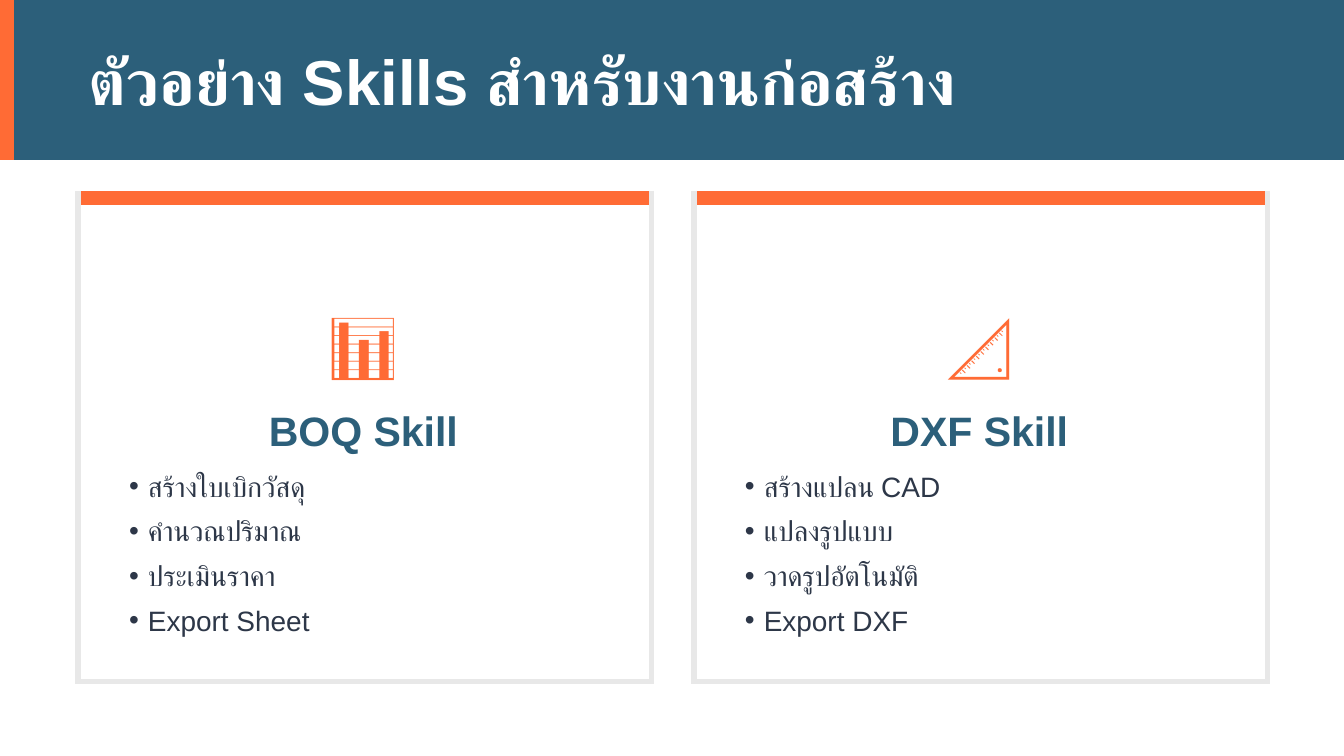
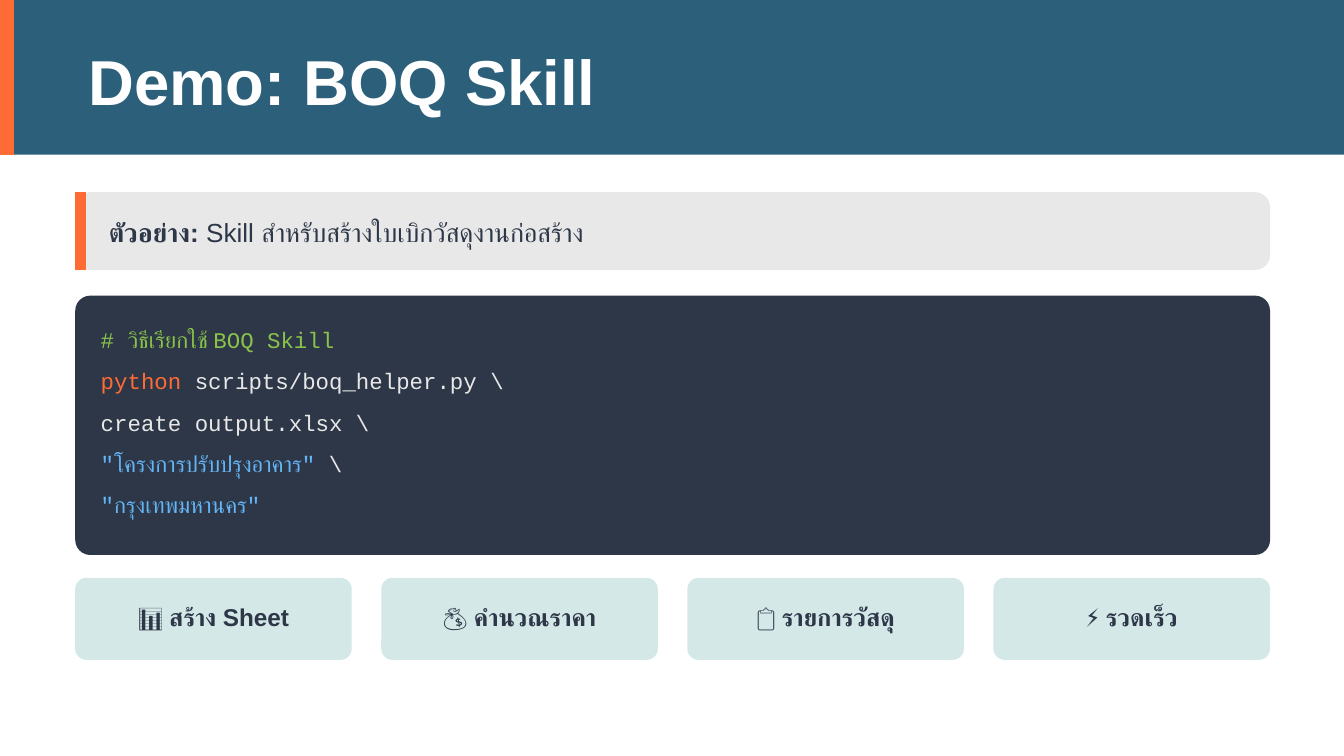
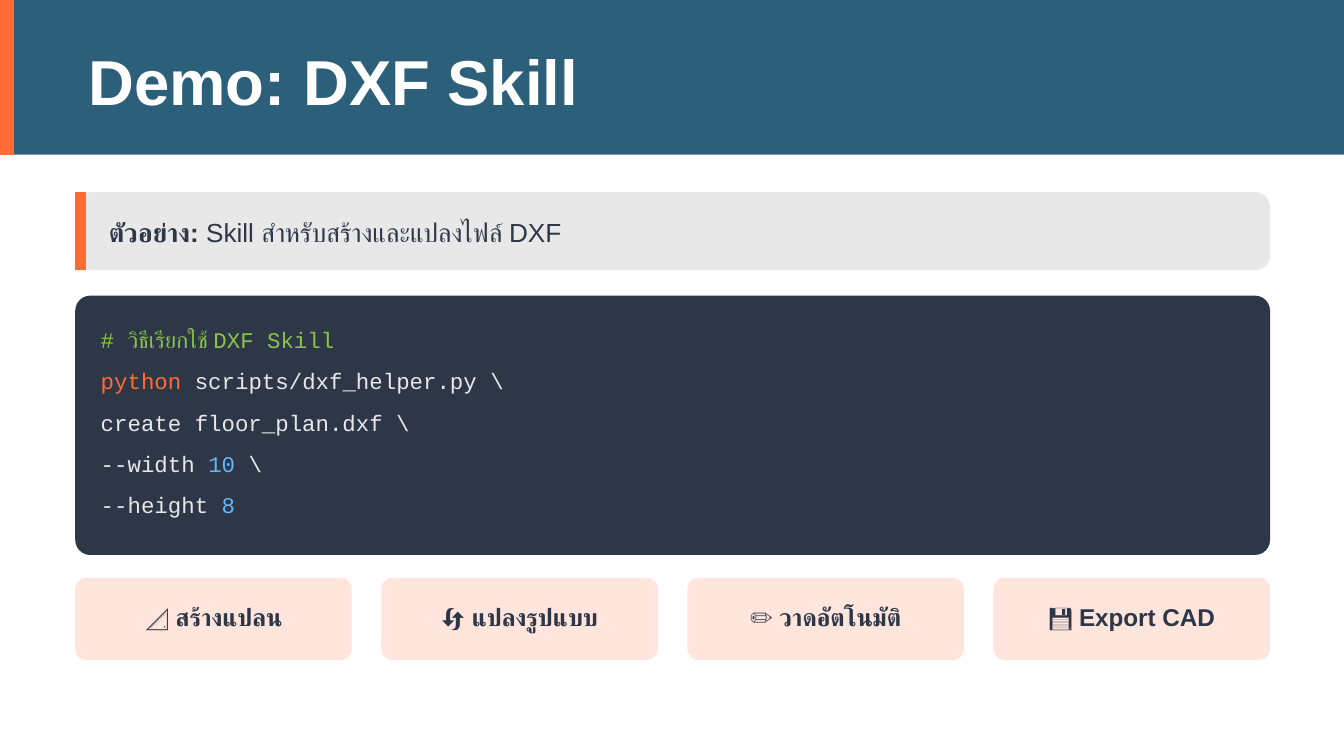
from dataclasses import dataclass
from typing import NamedTuple

from lxml import etree
from pptx import Presentation
from pptx.dml.color import RGBColor
from pptx.enum.shapes import MSO_CONNECTOR, MSO_SHAPE
from pptx.enum.text import MSO_ANCHOR, MSO_AUTO_SIZE, PP_ALIGN
from pptx.oxml.ns import qn
from pptx.util import Inches, Pt

RECT, ROUND = MSO_SHAPE.RECTANGLE, MSO_SHAPE.ROUNDED_RECTANGLE
STRAIGHT = MSO_CONNECTOR.STRAIGHT
LEFT, CENTER = PP_ALIGN.LEFT, PP_ALIGN.CENTER
TOP, NO_FIT = MSO_ANCHOR.TOP, MSO_AUTO_SIZE.NONE

# Grid: square cells, 100 columns across the slide
WIDTH, HEIGHT = Inches(10), Inches(5.625)
COLS = 100
CELL = WIDTH // COLS
MARGIN, CONTENT = 5.6, 88.9
TWO_CONTENT, TITLE_ONLY = 3, 5


# Theme: colours, type sizes and text styles
@dataclass(frozen=True)
class Style:
    size: float
    color: str
    font: str = "Arial"
    bold: bool = False
    align: PP_ALIGN = LEFT
    line: float | None = None
    before: float = 0
    after: float = 0


@dataclass(frozen=True)
class Theme:
    blue: str = "2C5F7A"
    orange: str = "FF6B35"
    white: str = "FFFFFF"
    gray: str = "E8E8E8"
    ink: str = "2D3748"
    green: str = "8BC34A"
    sky: str = "64B5F6"
    mint: str = "D4E8E8"
    peach: str = "FFE5DC"

    title = Style(34, white, bold=True)
    icon = Style(36, orange, align=CENTER, before=36, after=8)
    card_name = Style(22, blue, bold=True, align=CENTER, after=8)
    bullet = Style(15, ink, line=18, after=6)
    note = Style(14, ink, line=17.5)
    code = Style(12, gray, font="Courier New", line=16.2, after=6)
    chip = Style(13, ink, bold=True, align=CENTER)


T = Theme()


class Box(NamedTuple):
    x: float
    y: float
    w: float
    h: float


class Run(NamedTuple):
    text: str
    color: str | None = None
    bold: bool | None = None


class Card(NamedTuple):
    icon: str
    name: str
    items: list[str]


class Demo(NamedTuple):
    title: str
    note: str
    code: list[list[Run]]
    chip_fill: str
    chips: list[str]


# Drawing helpers
def emu(*cells: float) -> list[int]:
    return [round(c * CELL) for c in cells]


def columns(n: int, gap: float) -> list[tuple[float, float]]:
    """Left edge and width of n equal columns across the content area."""
    w = (CONTENT - gap * (n - 1)) / n
    return [(MARGIN + i * (w + gap), w) for i in range(n)]


def add_panel(slide, box: Box, fill: str, radius: float = 0) -> None:
    sp = slide.shapes.add_shape(ROUND if radius else RECT, *emu(*box))
    if radius:
        sp.adjustments[0] = radius / min(box.w, box.h)
    sp.shadow.inherit = False
    sp.fill.solid()
    sp.fill.fore_color.rgb = RGBColor.from_string(fill)
    sp.line.fill.background()


def add_rule(slide, x1: float, y1: float, x2: float, y2: float,
             color: str, width: float) -> None:
    line = slide.shapes.add_connector(STRAIGHT, *emu(x1, y1, x2, y2))
    line.line.color.rgb = RGBColor.from_string(color)
    line.line.width = Pt(width)
    etree.SubElement(line._element.spPr, qn("a:effectLst"))


def set_text(sp, paragraphs: list[list[Run]], style: Style, inset: float = 0) -> None:
    tf = sp.text_frame
    frame = dict(word_wrap=True, auto_size=NO_FIT, vertical_anchor=TOP,
                 margin_left=emu(inset)[0], margin_top=0,
                 margin_right=0, margin_bottom=0)
    for name, value in frame.items():
        setattr(tf, name, value)
    spacing = dict(alignment=style.align, space_before=Pt(style.before),
                   space_after=Pt(style.after),
                   line_spacing=Pt(style.line) if style.line else 1.0)
    for i, runs in enumerate(paragraphs):
        p = tf.add_paragraph() if i else tf.paragraphs[0]
        for name, value in spacing.items():
            setattr(p, name, value)
        for run in runs:
            r = p.add_run()
            r.text = run.text
            bold = style.bold if run.bold is None else run.bold
            for name, value in dict(name=style.font, size=Pt(style.size), bold=bold).items():
                setattr(r.font, name, value)
            r.font.color.rgb = RGBColor.from_string(run.color or style.color)
            # Symbols take the same face
            etree.SubElement(r.font._element, qn("a:ea"), typeface=style.font)


def add_text(slide, box: Box, runs: list[Run], style: Style) -> None:
    set_text(slide.shapes.add_textbox(*emu(*box)), [runs], style)


def place(slide, sp, box: Box) -> None:
    """Move a placeholder to the box, in front of what is drawn so far."""
    sp.left, sp.top, sp.width, sp.height = emu(*box)
    slide.shapes._spTree.append(sp._element)


def add_bullets(slide, sp, box: Box, items: list[str]) -> None:
    indent = 1.4
    place(slide, sp, box)
    set_text(sp, [[Run(item)] for item in items], T.bullet, inset=indent)
    for p in sp.text_frame.paragraphs:
        pPr = p._p.get_or_add_pPr()
        pPr.set("marL", str(emu(indent)[0]))
        pPr.set("indent", str(emu(-indent)[0]))
        etree.SubElement(pPr, qn("a:buChar"), char="•")


# Parts of the slides
def new_slide(prs, layout: int, title: str, band: float):
    slide = prs.slides.add_slide(prs.slide_layouts[layout])
    slide.background.fill.solid()
    slide.background.fill.fore_color.rgb = RGBColor.from_string(T.white)
    add_panel(slide, Box(0, 0, COLS, band), T.blue)
    add_rule(slide, 0.5, 0, 0.5, band, T.orange, 7.5)
    place(slide, slide.shapes.title, Box(6.6, 3.1, 89.6, band - 6.1))
    set_text(slide.shapes.title, [[Run(title)]], T.title)
    return slide


def add_card(slide, body, card: Card, box: Box) -> None:
    x, y, w, h = box
    right, bottom = x + w, y + h
    add_panel(slide, box, T.white, radius=1.4)
    add_rule(slide, x, y + 0.5, right, y + 0.5, T.orange, 7.5)
    for ends in ((right - 0.2, y, right - 0.2, bottom),
                 (x, bottom - 0.2, right, bottom - 0.2),
                 (x + 0.2, y, x + 0.2, bottom)):
        add_rule(slide, *ends, T.gray, 3)
    inner = w - 4.6
    add_text(slide, Box(x + 2.2, y + 8.2, inner, 6.7), [Run(card.icon)], T.icon)
    add_text(slide, Box(x + 2.2, y + 16, inner, 3.5), [Run(card.name)], T.card_name)
    add_bullets(slide, body, Box(x + 2.6, y + 20.7, inner - 0.7, 12.5), card.items)


def add_cards_slide(prs, title: str, cards: list[Card]) -> None:
    slide = new_slide(prs, TWO_CONTENT, title, band=11.9)
    bodies = [slide.placeholders[i + 1] for i in range(len(cards))]
    for card, body, (x, w) in zip(cards, bodies, columns(len(cards), 2.75)):
        add_card(slide, body, card, Box(x, 14.2, w, 36.7))


def add_demo_slide(prs, demo: Demo) -> None:
    slide = new_slide(prs, TITLE_ONLY, demo.title, band=11.5)
    # Note
    add_panel(slide, Box(MARGIN, 14.3, CONTENT, 5.8), T.gray, radius=1.12)
    add_rule(slide, MARGIN + 0.4, 14.3, MARGIN + 0.4, 20.1, T.orange, 6)
    add_text(slide, Box(8.1, 16, 86.4, 2.4),
             [Run("ตัวอย่าง:", bold=True), Run(demo.note)], T.note)
    # Code
    add_panel(slide, Box(MARGIN, 22, CONTENT, 19.3), T.ink, radius=1.12)
    for i, runs in enumerate(demo.code):
        add_text(slide, Box(7.5, 24 + 3.08 * i, 86.7, 2.2), runs, T.code)
    # Chips
    for text, (x, w) in zip(demo.chips, columns(len(demo.chips), 2.2)):
        add_panel(slide, Box(x, 43, w, 6.1), demo.chip_fill, radius=0.83)
        add_text(slide, Box(x + 1.6, 44.8, w - 3.2, 2.5), [Run(text)], T.chip)


def call_lines(skill: str, output: str) -> list[list[Run]]:
    """The opening lines that every demo command shares."""
    return [
        [Run(f"# วิธีเรียกใช้ {skill} Skill", T.green)],
        [Run("python", T.orange), Run(f" scripts/{skill.lower()}_helper.py \\")],
        [Run(f"create {output} \\")],
    ]


# Content
CARDS = [
    Card("📊", "BOQ Skill",
         ["สร้างใบเบิกวัสดุ", "คำนวณปริมาณ", "ประเมินราคา", "Export Sheet"]),
    Card("📐", "DXF Skill",
         ["สร้างแปลน CAD", "แปลงรูปแบบ", "วาดรูปอัตโนมัติ", "Export DXF"]),
]
DEMOS = [
    Demo("Demo: BOQ Skill", " Skill สำหรับสร้างใบเบิกวัสดุงานก่อสร้าง",
         call_lines("BOQ", "output.xlsx") + [
             [Run('"โครงการปรับปรุงอาคาร"', T.sky), Run(" \\")],
             [Run('"กรุงเทพมหานคร"', T.sky)]],
         T.mint, ["📊 สร้าง Sheet", "💰 คำนวณราคา", "📋 รายการวัสดุ", "⚡ รวดเร็ว"]),
    Demo("Demo: DXF Skill", " Skill สำหรับสร้างและแปลงไฟล์ DXF",
         call_lines("DXF", "floor_plan.dxf") + [
             [Run("--width "), Run("10", T.sky), Run(" \\")],
             [Run("--height "), Run("8", T.sky)]],
         T.peach, ["📐 สร้างแปลน", "🔄 แปลงรูปแบบ", "✏️ วาดอัตโนมัติ", "💾 Export CAD"]),
]


def main() -> None:
    prs = Presentation()
    prs.slide_width, prs.slide_height = WIDTH, HEIGHT
    add_cards_slide(prs, "ตัวอย่าง Skills สำหรับงานก่อสร้าง", CARDS)
    for demo in DEMOS:
        add_demo_slide(prs, demo)
    prs.save("out.pptx")


if __name__ == "__main__":
    main()
